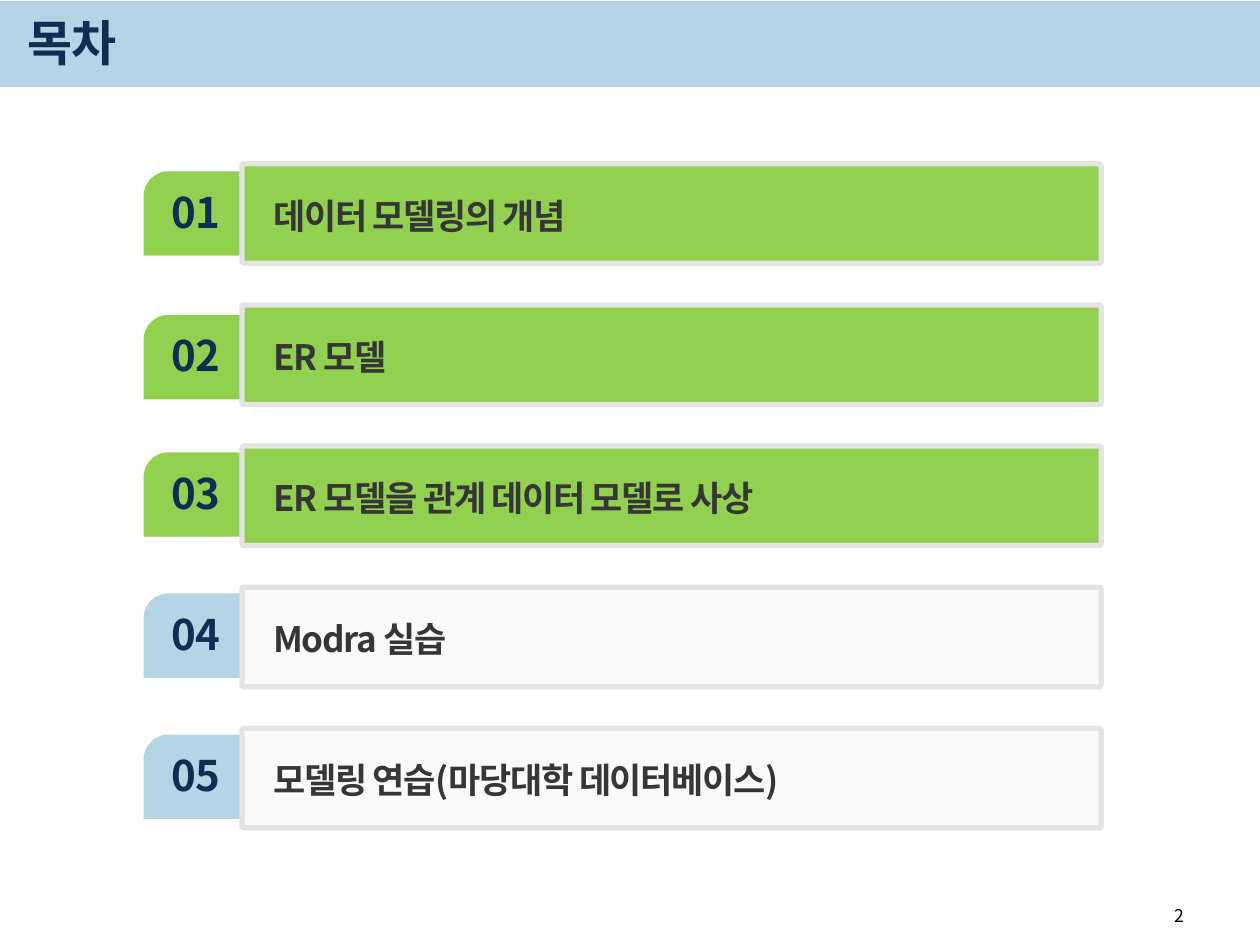
"""Build the table-of-contents slide with five numbered chapter rows."""
import pptx
import pptx.dml.color
import pptx.enum.shapes
import pptx.enum.text
import pptx.oxml
import pptx.oxml.ns
import pptx.util

Inches = pptx.util.Inches
Pt = pptx.util.Pt
Shapes = pptx.enum.shapes.MSO_SHAPE
Align = pptx.enum.text.PP_ALIGN
Anchor = pptx.enum.text.MSO_ANCHOR
Fit = pptx.enum.text.MSO_AUTO_SIZE

TITLE = "목차"
PAGE = "2"
CHAPTERS = [
    ("데이터 모델링의 개념", True, 1.36),
    ("ER 모델", True, 2.5),
    ("ER 모델을 관계 데이터 모델로 사상", True, 3.59),
    ("Modra 실습", False, 4.71),
    ("모델링 연습(마당대학 데이터베이스)", False, 5.83),
]
FONT = "Noto Sans CJK KR"
NAVY, CHARCOAL, BLACK = "0F2E53", "363636", "000000"
GREEN, BLUE, PALE, BORDER = "92D050", "B5D5E4", "F2F2F2", "E4E4E4"
FIRST_BAR, PITCH = 1.3, 1.12


def color(hex_code):
    return pptx.dml.color.RGBColor.from_string(hex_code)


def add_box(shapes, preset, at, fill, adjustments=()):
    box = shapes.add_shape(preset, *map(Inches, at))
    box.shadow.inherit = False
    box.fill.solid()
    box.fill.fore_color.rgb = color(fill)
    box.line.fill.background()
    for index, value in enumerate(adjustments):
        box.adjustments[index] = value
    return box


def write(box, words, size, ink, align=Align.LEFT, bold=True, spacing=0):
    paragraph = box.text_frame.paragraphs[0]
    paragraph.text = words
    paragraph.alignment = align
    run = paragraph.runs[0]
    run.font.name = FONT
    run.font.size = Pt(size)
    run.font.bold = bold
    run.font.color.rgb = color(ink)
    properties = run.font._element
    properties.set("spc", str(int(spacing * 100)))
    east_asian = pptx.oxml.parse_xml(
        f'<a:ea {pptx.oxml.ns.nsdecls("a")} typeface="{FONT}"/>')
    properties.find(pptx.oxml.ns.qn("a:latin")).addnext(east_asian)
    return paragraph


def set_opacity(box, percent):
    alpha = pptx.oxml.parse_xml(
        f'<a:alpha {pptx.oxml.ns.nsdecls("a")} val="{percent * 1000}"/>')
    box.fill._xPr.find(".//" + pptx.oxml.ns.qn("a:srgbClr")).append(alpha)


def add_text(shapes, at, wrap, fill=None):
    box = shapes.add_textbox(*map(Inches, at))
    box.text_frame.word_wrap = wrap
    if fill:
        box.fill.solid()
        box.fill.fore_color.rgb = color(fill)
    return box


def add_chapter(slide, index, words, done, tab_top):
    shapes = slide.shapes.add_group_shape().shapes
    bar_top = FIRST_BAR + index * PITCH
    text_fill = GREEN if done else None

    add_box(shapes, Shapes.SNIP_ROUND_RECTANGLE, (1.14, tab_top, 0.8, 0.67),
            GREEN if done else BLUE, (0.296, 0))
    number = add_text(shapes, (1.26, tab_top + 0.07, 0.59, 0.5), False, text_fill)
    number.text_frame.auto_size = Fit.SHAPE_TO_FIT_TEXT
    write(number, f"{index + 1:02}", 24, NAVY, Align.CENTER)

    bar = add_box(shapes, Shapes.ROUNDED_RECTANGLE, (1.92, bar_top, 6.82, 0.79),
                  GREEN if done else PALE, (0.023,))
    bar.line.color.rgb = color(BORDER)
    bar.line.width = Pt(3)
    if not done:
        set_opacity(bar, 33)

    label = add_text(shapes, (2.07, bar_top + 0.16, 5.28, 0.44), True, text_fill)
    label.text_frame.auto_size = Fit.SHAPE_TO_FIT_TEXT
    paragraph = write(label, words, 20, CHARCOAL, spacing=-0.8)
    paragraph.line_spacing = 1.1
    paragraph.space_after = Pt(3)


def main():
    deck = pptx.Presentation()
    deck.slide_width, deck.slide_height = Inches(10), Inches(7.5)
    slide = deck.slides.add_slide(deck.slide_layouts[5])

    title = slide.shapes.title
    band = add_box(slide.shapes, Shapes.RECTANGLE, (0, 0.01, 10, 0.68), BLUE)
    title._element.addprevious(band._element)
    title.left, title.top, title.width, title.height = map(
        Inches, (0.12, 0.07, 8.51, 0.52))
    title.text_frame.vertical_anchor = Anchor.MIDDLE
    title.text_frame.auto_size = Fit.NONE
    write(title, TITLE, 28, NAVY, spacing=-1)

    for index, chapter in enumerate(CHAPTERS):
        add_chapter(slide, index, *chapter)

    page = add_text(slide.shapes, (7.17, 7.13, 2.33, 0.28), True)
    write(page, PAGE, 10, BLACK, Align.RIGHT, bold=False)
    deck.save("out.pptx")


if __name__ == "__main__":
    main()
